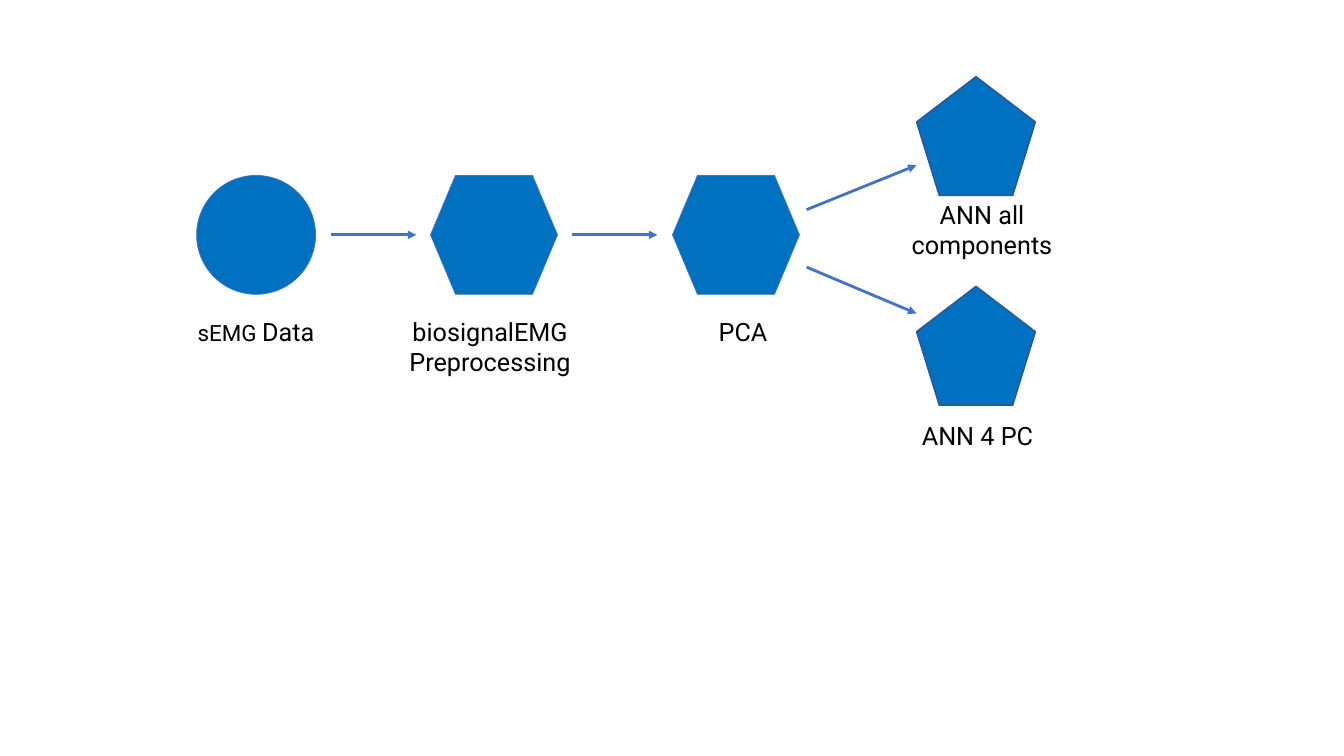
import pptx
import pptx.dml.color
import pptx.enum.shapes
import pptx.enum.text
import pptx.oxml
import pptx.oxml.ns
import pptx.util

Inches = pptx.util.Inches
Pt = pptx.util.Pt
RGBColor = pptx.dml.color.RGBColor
SHAPES = pptx.enum.shapes.MSO_SHAPE

NODE_BLUE = RGBColor(0x00, 0x70, 0xC0)
LINE_BLUE = RGBColor(0x44, 0x72, 0xC4)
EDGE_NAVY = RGBColor(0x32, 0x54, 0x91)
BLACK = RGBColor(0, 0, 0)

NODE_HEIGHT = 1.18
HEXAGON_WIDTH = 1.26
STEP_TOP = 1.74
CAPTION_TOP = 3.09
ARROW_Y = 2.33
MODEL_LEFT = 9.09


class PipelineSlide:
    """Draws the nodes, captions and arrows of a pipeline on one slide."""

    def __init__(self, deck):
        self.shapes = deck.slides.add_slide(deck.slide_layouts[6]).shapes
        self.font_format = {"name": "Roboto", "size": Pt(18)}

    def node(self, outline, left, top, width=NODE_HEIGHT, edge=LINE_BLUE, edge_width=0.5):
        node = self.shapes.add_shape(
            outline, Inches(left), Inches(top), Inches(width), Inches(NODE_HEIGHT))
        node.shadow.inherit = False
        node.fill.solid()
        node.fill.fore_color.rgb = NODE_BLUE
        node.line.color.rgb = edge
        node.line.width = Pt(edge_width)
        return node

    def caption(self, left, top, width, height, *paragraphs):
        """Each paragraph is a list of (text, font overrides) runs."""
        caption = self.shapes.add_textbox(
            Inches(left), Inches(top), Inches(width), Inches(height))
        frame = caption.text_frame
        frame.word_wrap = True
        frame.auto_size = pptx.enum.text.MSO_AUTO_SIZE.SHAPE_TO_FIT_TEXT
        for index, runs in enumerate(paragraphs):
            paragraph = frame.add_paragraph() if index else frame.paragraphs[0]
            paragraph.alignment = pptx.enum.text.PP_ALIGN.CENTER
            for text, overrides in runs:
                run = paragraph.add_run()
                run.text = text
                for attribute, value in {**self.font_format, **overrides}.items():
                    setattr(run.font, attribute, value)
                run.font.color.rgb = BLACK

    def arrow(self, x1, y1, x2, y2):
        arrow = self.shapes.add_connector(
            pptx.enum.shapes.MSO_CONNECTOR.STRAIGHT,
            Inches(x1), Inches(y1), Inches(x2), Inches(y2))
        arrow.line.color.rgb = LINE_BLUE
        arrow.line.width = Pt(2)
        namespace = pptx.oxml.ns.nsdecls("a")
        arrow.line._get_or_add_ln().append(
            pptx.oxml.parse_xml(f'<a:tailEnd {namespace} type="triangle"/>'))
        arrow._element.spPr.append(pptx.oxml.parse_xml(f"<a:effectLst {namespace}/>"))


def main():
    deck = pptx.Presentation()
    deck.slide_width, deck.slide_height = Inches(13.33), Inches(7.5)
    pipeline = PipelineSlide(deck)

    pipeline.node(SHAPES.OVAL, 1.95, STEP_TOP)
    for hexagon_left in (4.27, 6.67):
        hexagon = pipeline.node(SHAPES.HEXAGON, hexagon_left, STEP_TOP, HEXAGON_WIDTH)
        hexagon.adjustments[0] = 0.21
    for model_top in (0.76, 2.84):
        pipeline.node(SHAPES.REGULAR_PENTAGON, MODEL_LEFT, model_top,
                      edge=EDGE_NAVY, edge_width=1)

    for start, end in (
        ((3.28, ARROW_Y), (4.13, ARROW_Y)),
        ((5.67, ARROW_Y), (6.52, ARROW_Y)),
        ((8, 2.08), (MODEL_LEFT, 1.64)),
        ((8, 2.65), (MODEL_LEFT, 3.11)),
    ):
        pipeline.arrow(*start, *end)

    pipeline.caption(1.71, CAPTION_TOP, 1.66, 0.4,
                     [("sEMG ", {"size": Pt(16)}), ("Data", {})])
    pipeline.caption(3.95, CAPTION_TOP, 1.82, 0.71,
                     [("biosignalEMG", {})], [("Preprocessing", {})])
    pipeline.caption(6.74, CAPTION_TOP, 1.26, 0.4, [("PCA", {})])
    pipeline.caption(8.87, 1.93, 1.74, 0.71, [("ANN all components", {})])
    pipeline.caption(9.02, 4.12, 1.35, 0.4, [("ANN 4 PC", {})])

    deck.save("out.pptx")


if __name__ == "__main__":
    main()
